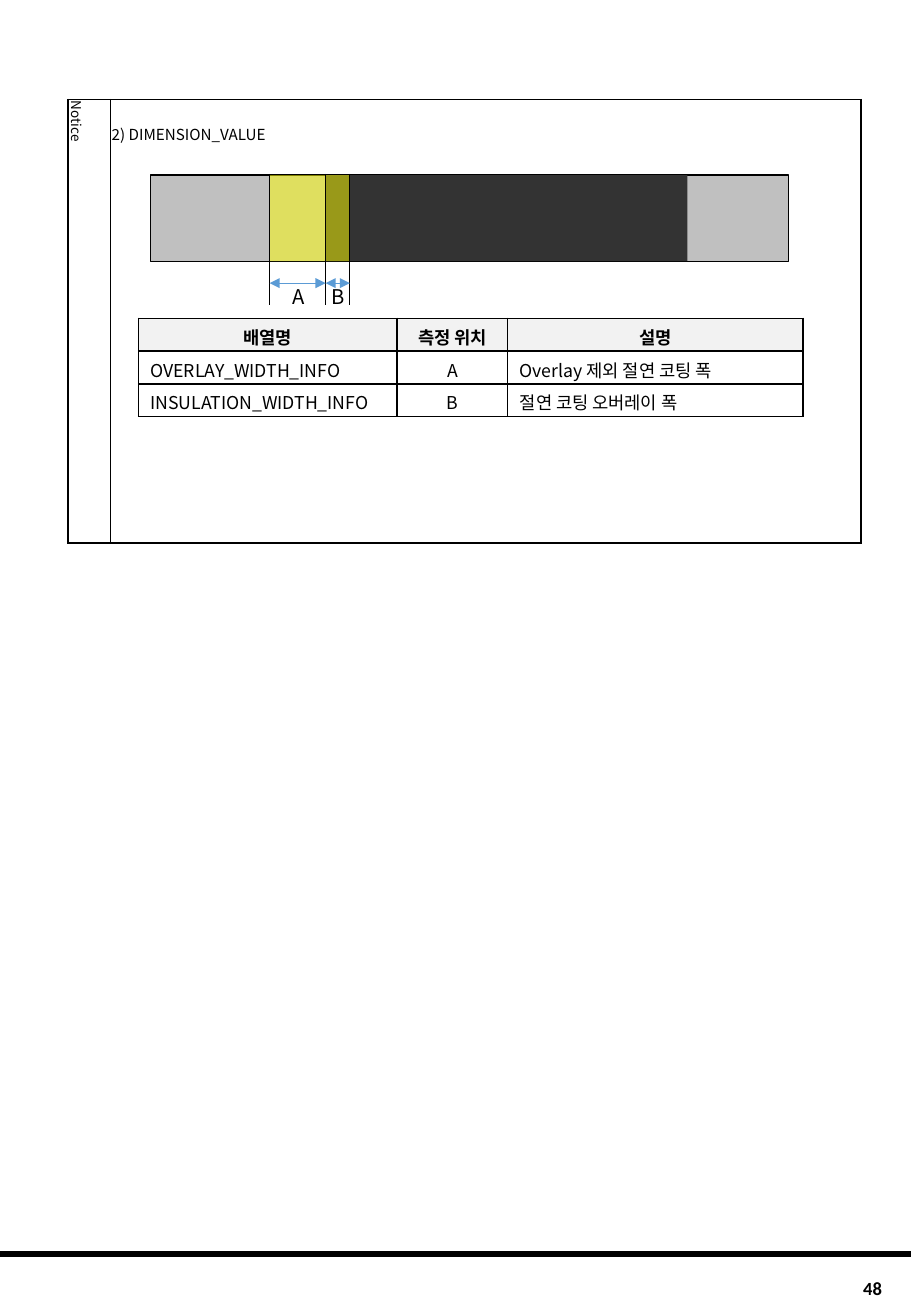
from lxml.etree import SubElement
from pptx import Presentation
from pptx.dml.color import RGBColor
from pptx.enum.shapes import MSO_CONNECTOR as Link, MSO_SHAPE as Shape
from pptx.enum.text import MSO_ANCHOR as Anchor, PP_ALIGN as Align
from pptx.oxml.ns import qn
from pptx.util import Inches, Pt

# Content
HEADERS = ["배열명", "측정 위치", "설명"]
ROWS = [
    ["OVERLAY_WIDTH_INFO", "A", "Overlay 제외 절연 코팅 폭"],
    ["INSULATION_WIDTH_INFO", "B", "절연 코팅 오버레이 폭"],
]
NOTICE = ["Notice", "2) DIMENSION_VALUE"]
PAGE_NUMBER = "48"

# Look
BLACK = RGBColor(0x00, 0x00, 0x00)
SILVER = RGBColor(0xC0, 0xC0, 0xC0)
CHARCOAL = RGBColor(0x33, 0x33, 0x33)
YELLOW = RGBColor(0xFF, 0xFF, 0x00)
BLUE = RGBColor(0x5B, 0x9B, 0xD5)
PALE = RGBColor(0xF2, 0xF2, 0xF2)
WHITE = RGBColor(0xFF, 0xFF, 0xFF)
KOREAN, LATIN = "Noto Sans CJK KR", "Calibri"

# Layout in inches
WIDTH, HEIGHT = 7.5, 10.83
FRAME = (0.56, 0.82, [0.35, 6.18], [3.65])
INFO = (1.14, 2.62, [2.13, 0.91, 2.43], [0.27] * 3)
BAR_TOP, BAR_HEIGHT = 1.44, 0.71
MARKS = [2.22, 2.68, 2.88]  # edges of spans A and B
BARS = [  # left, right, fill, outline, opacity in percent
    (1.24, 6.49, SILVER, BLACK, 100),
    (MARKS[1], 5.66, CHARCOAL, None, 100),
    (MARKS[0], MARKS[2], YELLOW, None, 50),
]
MARK_TOP, MARK_BOTTOM, ARROW_Y = 1.43, 2.51, 2.33
LABELS = [("A", 2.41), ("B", 2.73)]
LABEL_TOP = 2.34

deck = Presentation()
deck.slide_width, deck.slide_height = Inches(WIDTH), Inches(HEIGHT)
page = deck.slides.add_slide(deck.slide_layouts[6])


def write(frame, text, size, align=Align.LEFT, bold=False, font=KOREAN):
    frame.text = text
    para = frame.paragraphs[0]
    para.alignment = align
    span = para.runs[0]
    span.font.size, span.font.bold, span.font.name = Pt(size), bold, font
    span.font.color.rgb = BLACK
    SubElement(span.font._element, qn("a:ea"), typeface=font)


def set_margins(holder, left, top, right, bottom):
    holder.margin_left, holder.margin_top = Inches(left), Inches(top)
    holder.margin_right, holder.margin_bottom = Inches(right), Inches(bottom)


def add_text(left, top, width, height, *style):
    box = page.shapes.add_textbox(
        Inches(left), Inches(top), Inches(width), Inches(height))
    frame = box.text_frame
    frame.word_wrap = True
    write(frame, *style)
    return frame


def add_line(x1, y1, x2, y2, color, weight, arrows=False):
    line = page.shapes.add_connector(
        Link.STRAIGHT, Inches(x1), Inches(y1), Inches(x2), Inches(y2))
    line.line.color.rgb, line.line.width = color, Pt(weight)
    if arrows:
        for end in ("a:headEnd", "a:tailEnd"):
            SubElement(line.line._get_or_add_ln(), qn(end), type="triangle")
    SubElement(line._element.spPr, qn("a:effectLst"))


def add_grid(left, top, columns, rows):
    table = page.shapes.add_table(
        len(rows), len(columns), Inches(left), Inches(top),
        Inches(sum(columns)), Inches(sum(rows))).table
    table.first_row = table.horz_banding = False
    for column, width in zip(table.columns, columns):
        column.width = Inches(width)
    for row, height in zip(table.rows, rows):
        row.height = Inches(height)
    for cell in table.iter_cells():
        for side in ("a:lnL", "a:lnR", "a:lnT", "a:lnB"):
            border = SubElement(
                cell._tc.get_or_add_tcPr(), qn(side), w=str(Pt(1)))
            paint = SubElement(border, qn("a:solidFill"))
            SubElement(paint, qn("a:srgbClr"), val=str(BLACK))
        cell.fill.solid()
        cell.fill.fore_color.rgb = WHITE
    return table


# Footer rule and page number
add_line(0, 10.32, WIDTH, 10.32, BLACK, 3)
add_text(6.18, 10.46, 1.18, 0.28, PAGE_NUMBER, 11, Align.RIGHT, True,
         LATIN).vertical_anchor = Anchor.MIDDLE

# Notice frame
tag, body = add_grid(*FRAME).iter_cells()
write(tag.text_frame, NOTICE[0], 8)
set_margins(tag, 0.01, 0.01, 0.01, 0)
tag.vertical_anchor = Anchor.MIDDLE
tag._tc.tcPr.set("vert", "vert")
write(body.text_frame, NOTICE[1], 9, Align.JUSTIFY)
set_margins(body, 0.01, 0.19, 0.01, 0)

# Coated strip
for left, right, fill, outline, opacity in BARS:
    bar = page.shapes.add_shape(
        Shape.RECTANGLE, Inches(left), Inches(BAR_TOP),
        Inches(right - left), Inches(BAR_HEIGHT))
    bar.shadow.inherit = False
    bar.fill.solid()
    bar.fill.fore_color.rgb = fill
    if opacity < 100:
        tint = bar._element.spPr.find(qn("a:solidFill"))[0]
        SubElement(tint, qn("a:alpha"), val=str(opacity * 1000))
    if outline is None:
        bar.line.fill.background()
    else:
        bar.line.color.rgb, bar.line.width = outline, Pt(0.75)

# Dimension marks, arrows and labels
for x in MARKS:
    add_line(x, MARK_TOP, x, MARK_BOTTOM, BLACK, 0.5)
for start, end in zip(MARKS, MARKS[1:]):
    add_line(start, ARROW_Y, end, ARROW_Y, BLUE, 0.5, arrows=True)
for label, left in LABELS:
    set_margins(add_text(left, LABEL_TOP, 0.15, 0.25, label, 12), 0, 0, 0, 0)

# Table of arrays
info = add_grid(*INFO)
for r, texts in enumerate([HEADERS] + ROWS):
    for c, text in enumerate(texts):
        cell = info.cell(r, c)
        centred = r == 0 or c == 1
        write(cell.text_frame, text, 10.5,
              Align.CENTER if centred else Align.LEFT, r == 0)
        set_margins(cell, 0.1, 0.03, 0.1, 0)
        cell.vertical_anchor = Anchor.MIDDLE
        if r == 0:
            cell.fill.fore_color.rgb = PALE

deck.save("out.pptx")
